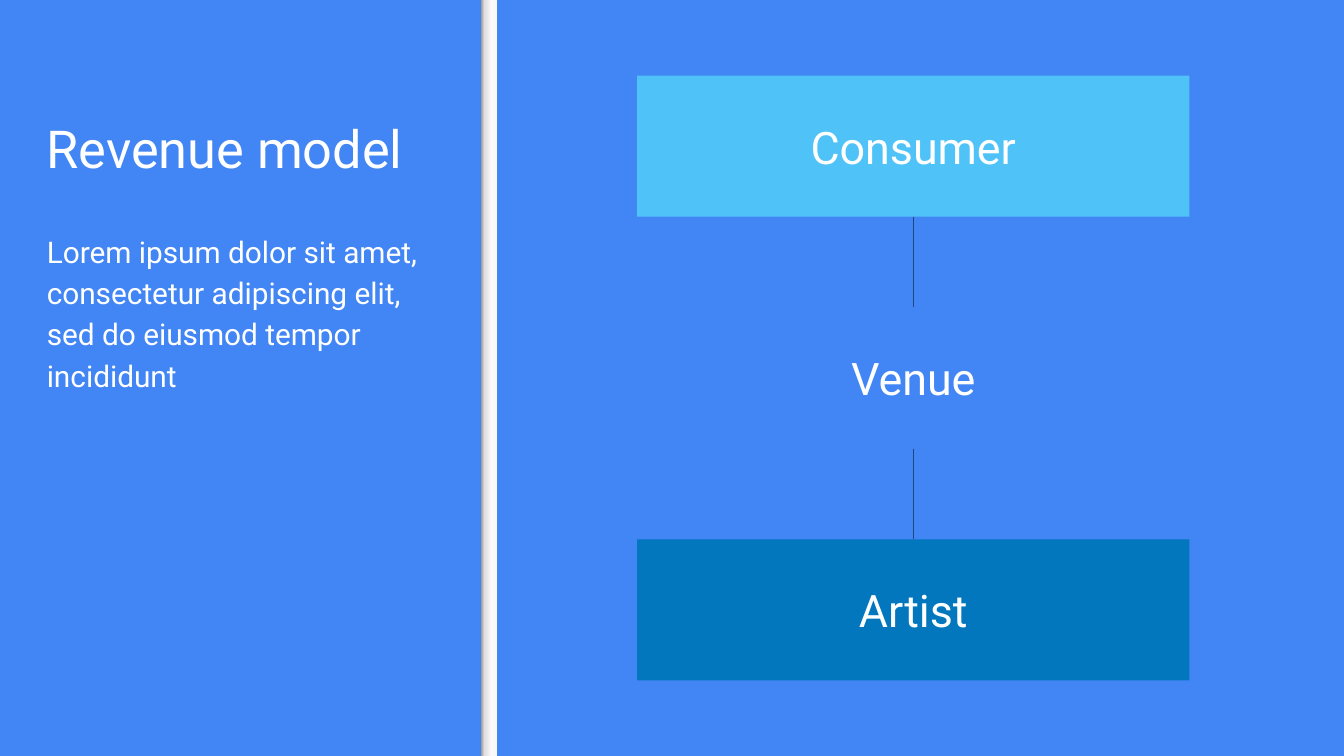
import pptx
import pptx.dml.color
import pptx.enum.shapes
import pptx.enum.text
import pptx.oxml
import pptx.oxml.ns
import pptx.util
from pptx.util import Inches

RGBColor = pptx.dml.color.RGBColor
SHAPE = pptx.enum.shapes.MSO_SHAPE
ALIGN = pptx.enum.text.PP_ALIGN
ANCHOR = pptx.enum.text.MSO_ANCHOR

BLUE = RGBColor(0x42, 0x85, 0xF4)
SKY = RGBColor(0x4F, 0xC3, 0xF7)
DEEP = RGBColor(0x02, 0x77, 0xBD)
NAVY = RGBColor(0x1F, 0x49, 0x7D)
WHITE = RGBColor(0xFF, 0xFF, 0xFF)
EDGE = RGBColor(0x99, 0x99, 0x99)
SHADE = RGBColor(0xDE, 0xDE, 0xDE)
PALE = RGBColor(0xF9, 0xF9, 0xF9)

WIDTH = 10
HEIGHT = WIDTH * 9 / 16


def write(shape, text, size, align=ALIGN.LEFT, anchor=ANCHOR.TOP, lead=None, after=None):
    frame = shape.text_frame
    frame.word_wrap = True
    frame.vertical_anchor = anchor
    frame.margin_left = frame.margin_right = Inches(0.1)
    frame.margin_top = frame.margin_bottom = Inches(0.1)
    para = frame.paragraphs[0]
    para.alignment = align
    if lead is not None:
        para.line_spacing = lead
    if after is not None:
        para.space_after = pptx.util.Pt(after)
    run = para.add_run()
    run.text = text
    run.font.name = "Roboto"
    run.font.size = pptx.util.Pt(size)
    run.font.color.rgb = WHITE


def add_rect(slide, left, top, width, height):
    rect = slide.shapes.add_shape(
        SHAPE.RECTANGLE, Inches(left), Inches(top), Inches(width), Inches(height))
    rect.shadow.inherit = False
    rect.line.fill.background()
    return rect


def add_band(slide, left, top, width, height):
    """Draw the divider, shaded from its dark left edge to pale."""
    band = add_rect(slide, left, top, width, height)
    band.fill.gradient()
    band.fill.gradient_angle = 0
    stops = band._element.spPr.find(".//" + pptx.oxml.ns.qn("a:gsLst"))
    for stop in list(stops):
        stops.remove(stop)
    for place, color in ((0, EDGE), (20, SHADE), (64, PALE), (100, PALE)):
        stops.append(pptx.oxml.parse_xml(
            f'<a:gs {pptx.oxml.ns.nsdecls("a")} pos="{place * 1000}">'
            f'<a:srgbClr val="{color}"/></a:gs>'))


def add_intro(slide, left, top, width, height):
    head, gap = 1.04, 0.17
    title = slide.shapes.add_textbox(
        Inches(left), Inches(top), Inches(width), Inches(head))
    write(title, "Revenue model", 28, anchor=ANCHOR.BOTTOM)
    body = slide.shapes.add_textbox(
        Inches(left), Inches(top + head + gap), Inches(width), Inches(height - head - gap))
    write(body, "Lorem ipsum dolor sit amet, consectetur adipiscing elit, "
          "sed do eiusmod tempor incididunt", 16, lead=1.15, after=16)


def add_link(slide, upper, lower):
    link = slide.shapes.add_connector(
        pptx.enum.shapes.MSO_CONNECTOR.STRAIGHT, 0, 0, 0, 0)
    link.begin_connect(upper, 2)
    link.end_connect(lower, 0)
    link.line.color.rgb = NAVY
    link.line.width = pptx.util.Pt(0.75)
    link._element.spPr.append(
        pptx.oxml.parse_xml(f'<a:effectLst {pptx.oxml.ns.nsdecls("a")}/>'))


def add_flow(slide, left, top, width, height):
    """Stack the linked boxes evenly from top to bottom."""
    steps = (("Consumer", SKY), ("Venue", BLUE), ("Artist", DEEP))
    tall = 1.05
    pitch = (height - tall) / (len(steps) - 1)
    last = None
    for index, (name, color) in enumerate(steps):
        box = add_rect(slide, left, top + index * pitch, width, tall)
        box.fill.solid()
        box.fill.fore_color.rgb = color
        write(box, name, 24, align=ALIGN.CENTER, anchor=ANCHOR.MIDDLE)
        if last is not None:
            add_link(slide, last, box)
        last = box


def main():
    deck = pptx.Presentation()
    deck.slide_width = Inches(WIDTH)
    deck.slide_height = Inches(HEIGHT)
    slide = deck.slides.add_slide(deck.slide_layouts[6])
    slide.background.fill.solid()
    slide.background.fill.fore_color.rgb = BLUE
    add_band(slide, 3.58, 0, 0.12, HEIGHT)
    add_intro(slide, 0.25, 0.39, 3.07, 4.67)
    add_flow(slide, 4.74, HEIGHT * 0.1, 4.11, HEIGHT * 0.8)
    deck.save("out.pptx")


if __name__ == "__main__":
    main()
